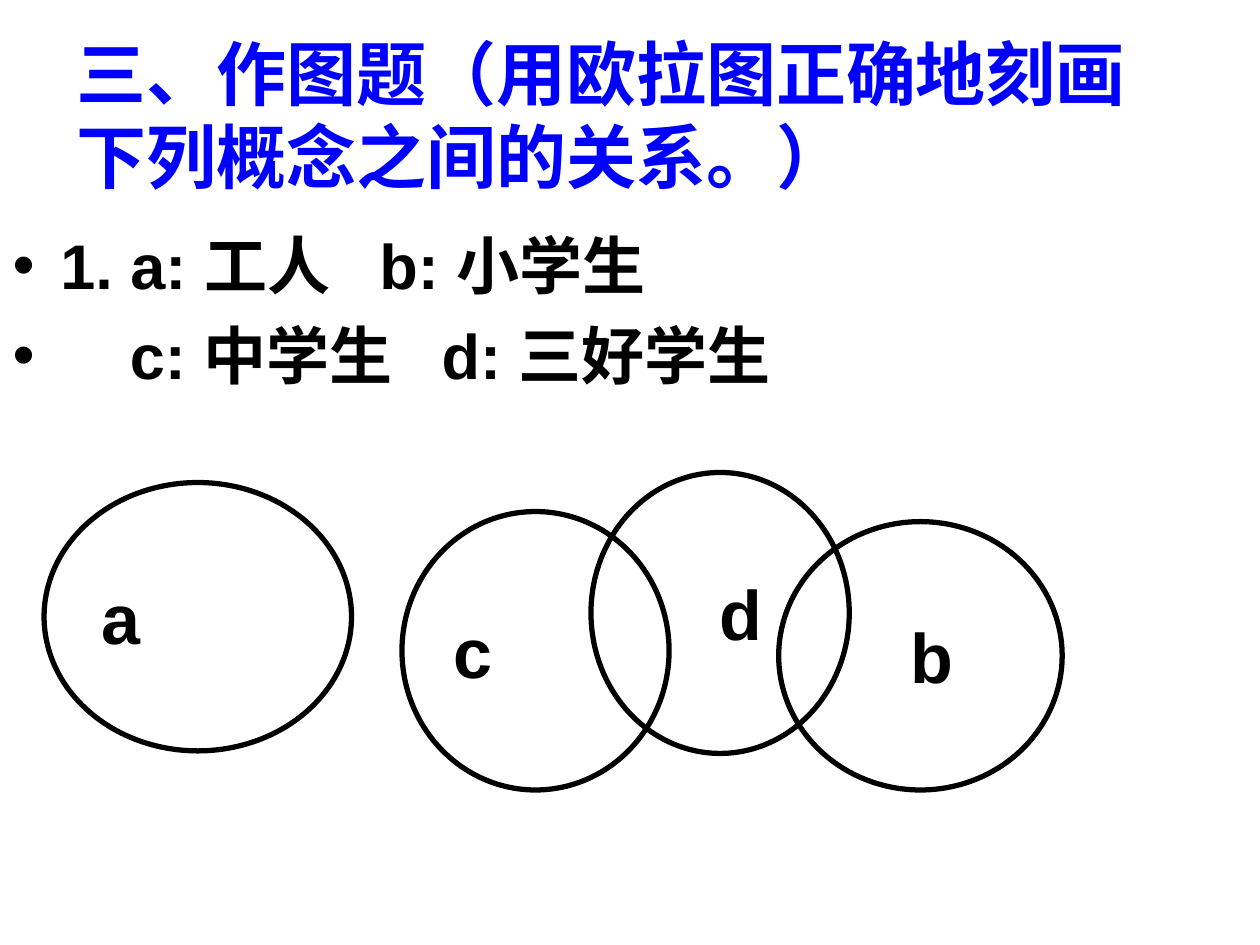
from lxml import etree
from pptx import Presentation
from pptx.dml.color import RGBColor
from pptx.enum import shapes, text
from pptx.oxml.ns import qn
from pptx.util import Inches, Pt

BLUE = RGBColor(0x00, 0x00, 0xFF)
BLACK = RGBColor(0x00, 0x00, 0x00)

# bullet indent, space before in points, the two concepts of the line
CONCEPT_LINES = [
    (0.38, 0, "1. a: 工人", "b: 小学生"),
    (0.93, 8, "c: 中学生", "d: 三好学生"),
]
# label, left, top, width, height, label's left margin
CIRCLES = [
    ("c", 3.19, 4.06, 2.12, 2.21, 0.1),
    ("a", 0.35, 3.83, 2.44, 2.13, 0.1),
    ("b", 6.18, 4.14, 2.25, 2.13, 0.72),
    ("d", 4.69, 3.75, 2.05, 2.23, 0.72),
]


def set_all(target, **values):
    for name, value in values.items():
        setattr(target, name, value)


def style_font(font, size, color):
    set_all(font, name="Arial", size=Pt(size), bold=True)
    font.color.rgb = color


def place(shape, left, top, width, height):
    set_all(shape, left=Inches(left), top=Inches(top),
            width=Inches(width), height=Inches(height))


def add_bullet(para, indent):
    """Hang the paragraph's text at indent, with the bullet at the box edge."""
    props = para._p.get_or_add_pPr()
    props.set("marL", str(Inches(indent)))
    props.set("indent", str(-Inches(indent)))
    etree.SubElement(props, qn("a:buFont")).set("typeface", "Arial")
    etree.SubElement(props, qn("a:buChar")).set("char", "•")


def add_span(para, words, tracking=0):
    """Add a run; tracking is extra letter spacing in points."""
    span = para.add_run()
    span.text = words
    style_font(span.font, 36, BLACK)
    if tracking:
        span.font._element.set("spc", str(tracking * 100))


def fill_title(title):
    place(title, 0.51, 0.28, 9, 1.25)
    frame = title.text_frame
    set_all(frame, word_wrap=True, auto_size=text.MSO_AUTO_SIZE.NONE,
            vertical_anchor=text.MSO_ANCHOR.MIDDLE)
    para = frame.paragraphs[0]
    para.text = "三、作图题（用欧拉图正确地刻画下列概念之间的关系。）"
    para.alignment = text.PP_ALIGN.LEFT
    style_font(para.font, 40, BLUE)


def fill_concepts(body):
    place(body, 0, 1.75, 10, 5.75)
    frame = body.text_frame
    set_all(frame, word_wrap=True, auto_size=text.MSO_AUTO_SIZE.NONE)
    for number, (indent, before, first, second) in enumerate(CONCEPT_LINES):
        para = frame.add_paragraph() if number else frame.paragraphs[0]
        para.space_before = Pt(before)
        add_bullet(para, indent)
        add_span(para, first)
        add_span(para, " ", tracking=20)
        add_span(para, second)


def add_circle(slide, label, left, top, width, height, margin):
    circle = slide.shapes.add_shape(
        shapes.MSO_SHAPE.OVAL,
        Inches(left), Inches(top), Inches(width), Inches(height))
    circle.shadow.inherit = False
    circle.fill.background()
    circle.line.color.rgb = BLACK
    circle.line.width = Pt(3)
    frame = circle.text_frame
    set_all(frame, word_wrap=True, margin_left=Inches(margin),
            vertical_anchor=text.MSO_ANCHOR.MIDDLE)
    para = frame.paragraphs[0]
    para.text = label
    para.alignment = text.PP_ALIGN.LEFT
    style_font(para.font, 40, BLACK)


def main():
    deck = Presentation()
    set_all(deck, slide_width=Inches(10), slide_height=Inches(7.5))
    slide = deck.slides.add_slide(deck.slide_layouts.get_by_name("Title and Content"))
    fill_title(slide.shapes.title)
    fill_concepts(slide.placeholders[1])
    for circle in CIRCLES:
        add_circle(slide, *circle)
    deck.save("out.pptx")


if __name__ == "__main__":
    main()
